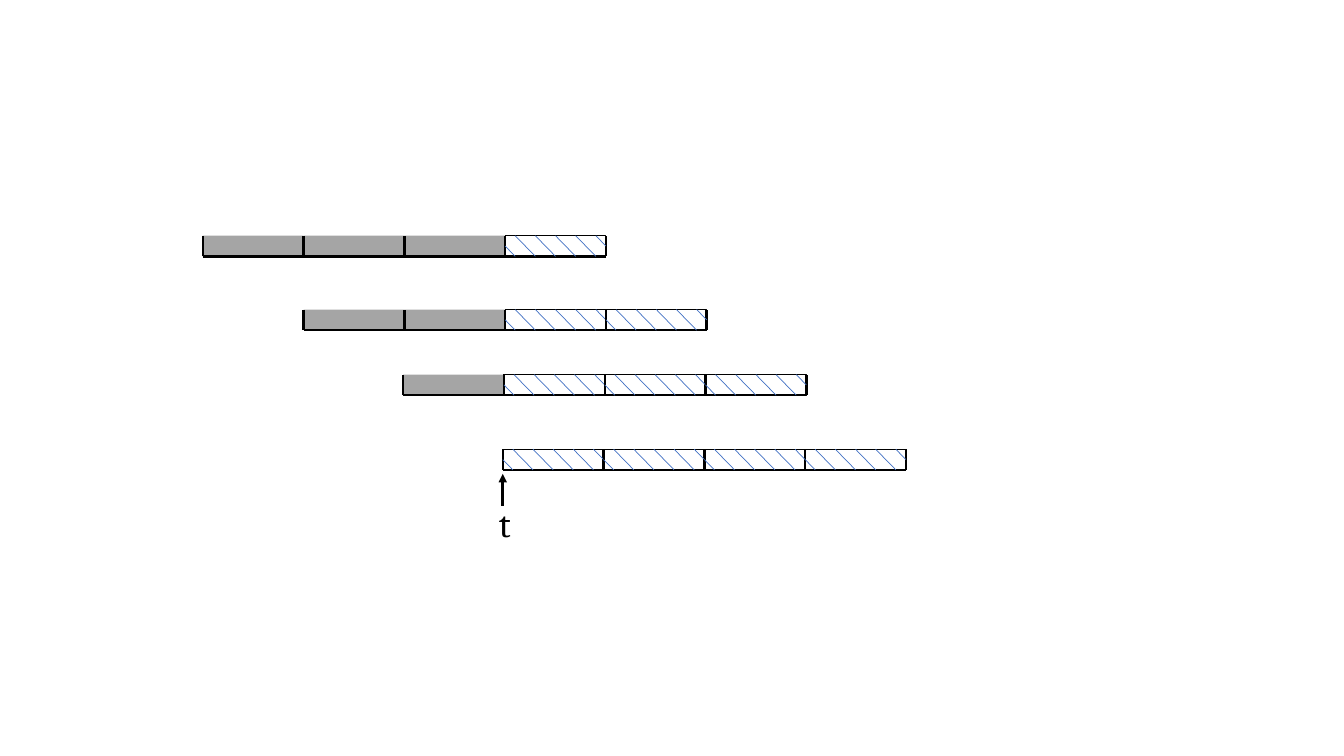
from lxml.etree import SubElement
from pptx import Presentation
from pptx.dml.color import RGBColor
from pptx.enum.shapes import MSO_CONNECTOR as Connector, MSO_SHAPE as Shape
from pptx.enum.text import MSO_AUTO_SIZE as AutoSize
from pptx.oxml.ns import qn
from pptx.util import Cm, Pt

COLORS = {"past": "A5A5A5", "hatch": "4472C4", "ink": "000000"}

# Each window: left, top (cm), number of past cells
WINDOWS = [
    (5.11, 5.94, 3),
    (7.65, 7.8, 2),
    (10.16, 9.44, 1),
    (12.67, 11.32, 0),
]
CELLS = 4
CELL_WIDTH, CELL_HEIGHT = 2.54, 0.52

# Diagonal strokes as fractions of a cell: x1, y1, x2, y2
STROKES = [(0, 0.5, 0.1, 1)]
STROKES += [(0.1 + 0.2 * i, 0, 0.3 + 0.2 * i, 1) for i in range(4)]
STROKES += [(0.9, 0, 1, 0.5)]

TIME_LABEL = "t"
TIME_ARROW = (12.67, 12.75, 12.67, 11.94)
TIME_BOX = (12.32, 12.5, 0.81, 1.37)


def color(name):
    return RGBColor.from_string(COLORS[name])


def add_line(shapes, x1, y1, x2, y2, name, width):
    line = shapes.add_connector(Connector.STRAIGHT, Cm(x1), Cm(y1), Cm(x2), Cm(y2))
    line.line.color.rgb = color(name)
    line.line.width = Pt(width)
    SubElement(line._element.spPr, qn("a:effectLst"))
    return line


def add_cell(shapes, left, top):
    cell = shapes.add_shape(
        Shape.RECTANGLE, Cm(left), Cm(top), Cm(CELL_WIDTH), Cm(CELL_HEIGHT))
    cell.shadow.inherit = False
    return cell


def add_past_cell(shapes, left, top):
    cell = add_cell(shapes, left, top)
    cell.fill.solid()
    cell.fill.fore_color.rgb = color("past")
    cell.line.fill.background()


def add_hatched_cell(shapes, left, top):
    group = shapes.add_group_shape()
    cell = add_cell(group.shapes, left, top)
    cell.fill.background()
    cell.line.color.rgb = color("ink")
    cell.line.width = Pt(0.75)
    for x1, y1, x2, y2 in STROKES:
        add_line(group.shapes, left + x1 * CELL_WIDTH, top + y1 * CELL_HEIGHT,
                 left + x2 * CELL_WIDTH, top + y2 * CELL_HEIGHT, "hatch", 0.5)


def add_ruler(shapes, left, top):
    group = shapes.add_group_shape()
    bottom = top + CELL_HEIGHT
    add_line(group.shapes, left, bottom, left + CELLS * CELL_WIDTH, bottom, "ink", 1.75)
    for i in range(CELLS + 1):
        x = left + i * CELL_WIDTH
        add_line(group.shapes, x, bottom, x, top, "ink", 1.75)


deck = Presentation()
deck.slide_width, deck.slide_height = Cm(33.87), Cm(19.05)
page = deck.slides.add_slide(deck.slide_layouts[6])

# Sliding windows
for left, top, past in WINDOWS:
    lefts = [left + i * CELL_WIDTH for i in range(CELLS)]
    for x in lefts[:past]:
        add_past_cell(page.shapes, x, top)
    add_ruler(page.shapes, left, top)
    for x in lefts[past:]:
        add_hatched_cell(page.shapes, x, top)

# Time marker
arrow = add_line(page.shapes, *TIME_ARROW, "ink", 2)
SubElement(arrow.line._get_or_add_ln(), qn("a:tailEnd"), type="triangle")

box = page.shapes.add_textbox(*[Cm(value) for value in TIME_BOX])
box.text_frame.word_wrap = False
box.text_frame.auto_size = AutoSize.SHAPE_TO_FIT_TEXT
para = box.text_frame.paragraphs[0]
span = para.add_run()
span.text = TIME_LABEL
span.font.name = "Cambria"
span.font.size = Pt(26)
span.font.color.rgb = color("ink")

deck.save("out.pptx")
